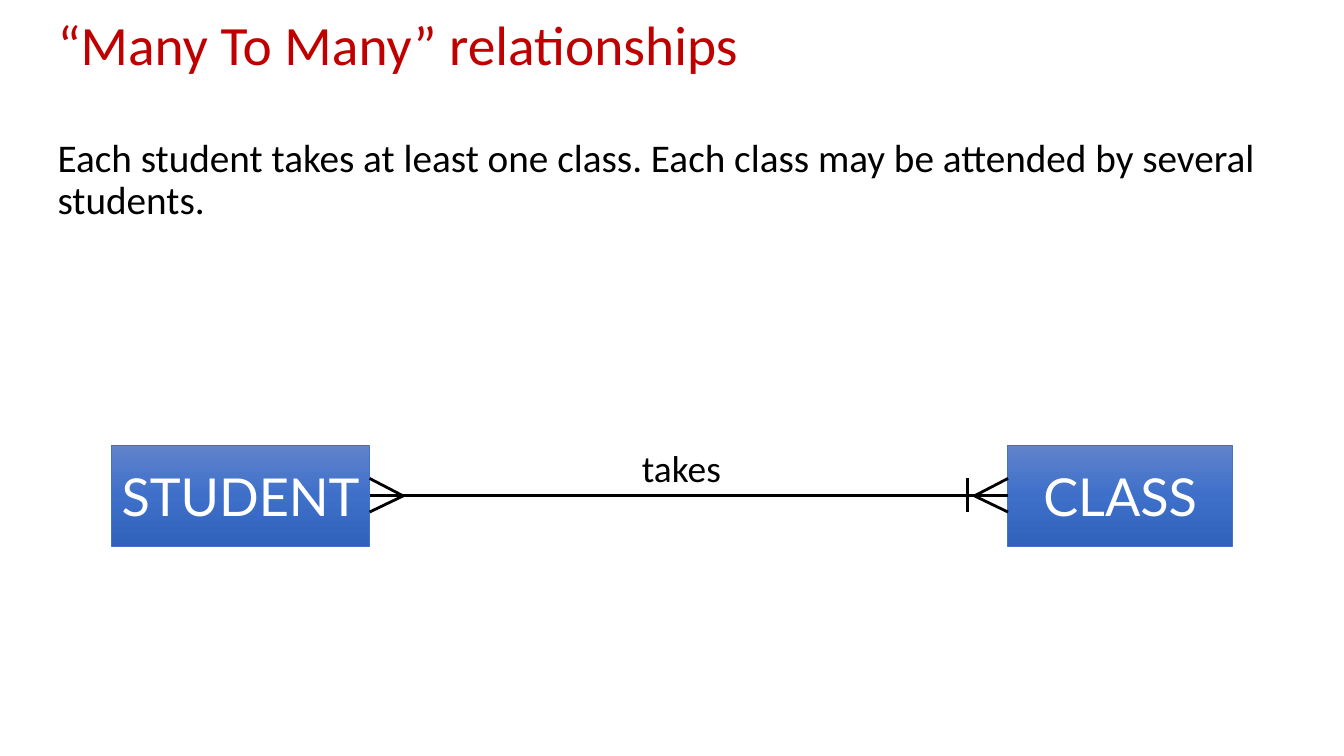
from copy import deepcopy

from pptx import Presentation
from pptx.dml.color import RGBColor
from pptx.enum.shapes import MSO_CONNECTOR, MSO_SHAPE
from pptx.enum.text import MSO_ANCHOR, MSO_AUTO_SIZE, PP_ALIGN
from pptx.oxml.ns import qn
from pptx.util import Inches, Pt

RED = RGBColor(0xC0, 0x00, 0x00)
BLACK = RGBColor(0x00, 0x00, 0x00)
WHITE = RGBColor(0xFF, 0xFF, 0xFF)
BORDER_BLUE = RGBColor(0x44, 0x72, 0xC4)
GRADIENT = [
    (0, RGBColor(0x61, 0x83, 0xCB)),
    (0.5, RGBColor(0x3E, 0x70, 0xCA)),
    (1, RGBColor(0x30, 0x62, 0xBB)),
]
RECTANGLE = MSO_SHAPE.RECTANGLE
STRAIGHT = MSO_CONNECTOR.STRAIGHT
MIDDLE = MSO_ANCHOR.MIDDLE
FIT_SHAPE = MSO_AUTO_SIZE.SHAPE_TO_FIT_TEXT
CENTER = PP_ALIGN.CENTER
LEFT_SIDE, RIGHT_SIDE = 1, 3


def write_text(shape, text, font_format, paragraph_format):
    paragraph = shape.text_frame.paragraphs[0]
    run = paragraph.add_run()
    run.text = text
    run.font.color.rgb = font_format["color"]
    run.font.name = font_format["name"]
    run.font.size = Pt(font_format["size"])
    for name, value in paragraph_format.items():
        setattr(paragraph, name, value)


def add_line(x1, y1, x2, y2):
    line = slide.shapes.add_connector(
        STRAIGHT, Inches(x1), Inches(y1), Inches(x2), Inches(y2))
    line.line.color.rgb = BLACK
    line.line.width = Pt(1.5)
    properties = line._element.spPr
    properties.append(properties.makeelement(qn("a:effectLst"), {}))
    return line


# Widescreen slide, 16:9
presentation = Presentation()
presentation.slide_width = Inches(10)
presentation.slide_height = Inches(10 * 9 / 16)
slide = presentation.slides.add_slide(presentation.slide_layouts[6])

# Title and description
title = slide.shapes.add_textbox(Inches(0.33), Inches(0.09), Inches(9.58), Inches(0.53))
title.text_frame.word_wrap = True
title.text_frame.vertical_anchor = MIDDLE
write_text(title, "“Many To Many” relationships",
           {"name": "Calibri", "size": 29.7, "color": RED}, {"line_spacing": 0.9})

description = slide.shapes.add_textbox(Inches(0.33), Inches(0.98), Inches(9.58), Inches(4.33))
description.text_frame.word_wrap = True
write_text(description,
           "Each student takes at least one class. Each class may be attended by several students.",
           {"name": "Calibri", "size": 21, "color": BLACK},
           {"line_spacing": 0.9, "space_after": Pt(12)})

# Entities, centred on the relationship axis
axis = 3.69
entity_height = 0.75
entities = {}
for name, left, width in [("STUDENT", 0.83, 1.92), ("CLASS", 7.5, 1.67)]:
    entity = slide.shapes.add_shape(
        RECTANGLE, Inches(left), Inches(axis - entity_height / 2),
        Inches(width), Inches(entity_height))
    entity.shadow.inherit = False
    entity.fill.gradient()
    entity.fill.gradient_angle = 270
    stop_list = entity._element.spPr.find(".//" + qn("a:gsLst"))
    stop_list.insert(1, deepcopy(stop_list[0]))
    for stop, (position, color) in zip(entity.fill.gradient_stops, GRADIENT):
        stop.position = position
        stop.color.rgb = color
    entity.line.color.rgb = BORDER_BLUE
    entity.line.width = Pt(0.5)
    entity.text_frame.word_wrap = False
    entity.text_frame.vertical_anchor = MIDDLE
    write_text(entity, name, {"name": "Lato", "size": 28, "color": WHITE},
               {"alignment": CENTER})
    entities[name] = entity

# Relationship line
relationship = add_line(2.75, axis, 7.25, axis)
relationship.begin_connect(entities["STUDENT"], RIGHT_SIDE)
class_end = add_line(7.25, axis, 7.5, axis)
class_end.end_connect(entities["CLASS"], LEFT_SIDE)

# Crow's feet and the "at least one" bar
top, bottom = 3.56, 3.81
for tip, edge in [(3, 2.75), (7.25, 7.5)]:
    for y in (top, bottom):
        add_line(tip, axis, edge, y)
add_line(7.2, bottom, 7.2, top)

# Relationship label
label = slide.shapes.add_shape(
    RECTANGLE, Inches(4.56), Inches(3.31), Inches(1.02), Inches(0.34))
label.shadow.inherit = False
label.fill.solid()
label.fill.fore_color.rgb = WHITE
label.line.fill.background()
label_format = {
    "margin_left": 0, "margin_right": 0, "margin_top": 0, "margin_bottom": 0,
    "word_wrap": True, "vertical_anchor": MIDDLE, "auto_size": FIT_SHAPE,
}
for name, value in label_format.items():
    setattr(label.text_frame, name, value)
write_text(label, "takes", {"name": "Calibri", "size": 20, "color": BLACK},
           {"alignment": CENTER})

presentation.save("out.pptx")
